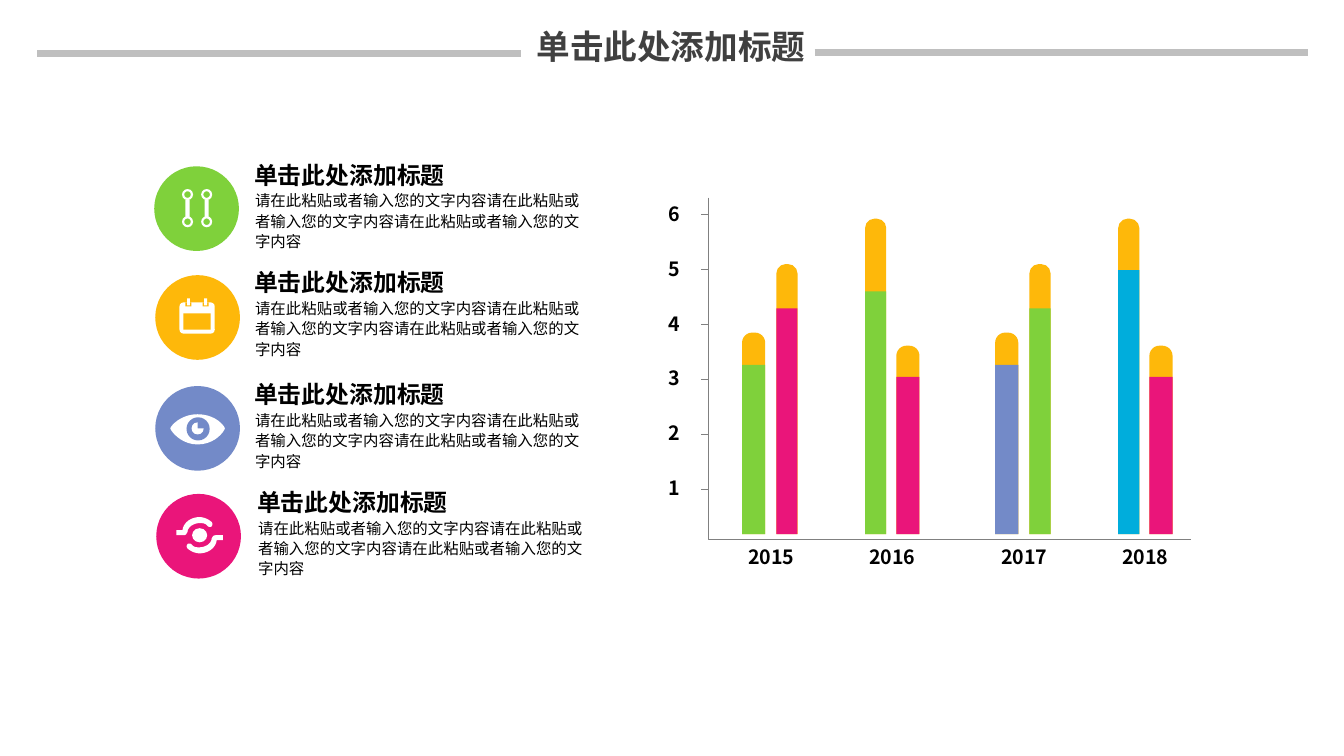
from lxml import etree
from pptx import Presentation
from pptx.dml.color import RGBColor
from pptx.enum.shapes import MSO_CONNECTOR, MSO_SHAPE
from pptx.enum.text import MSO_AUTO_SIZE, PP_ALIGN
from pptx.oxml.ns import qn
from pptx.util import Inches, Pt

STRAIGHT = MSO_CONNECTOR.STRAIGHT
OVAL, RECTANGLE, DONUT = MSO_SHAPE.OVAL, MSO_SHAPE.RECTANGLE, MSO_SHAPE.DONUT
ROUNDED, ROUND_TOP = MSO_SHAPE.ROUNDED_RECTANGLE, MSO_SHAPE.ROUND_2_SAME_RECTANGLE
PIE = MSO_SHAPE.PIE
LEFT, CENTER = PP_ALIGN.LEFT, PP_ALIGN.CENTER
FIT_TEXT = MSO_AUTO_SIZE.SHAPE_TO_FIT_TEXT

FONT = "Noto Sans CJK SC"
GREEN, ORANGE, INDIGO, PINK, CYAN = "7FD13B", "FEB80A", "738AC8", "EA157A", "00ADDC"
WHITE, BLACK, DARK, RULE_GRAY, AXIS_GRAY = "FFFFFF", "000000", "404040", "BFBFBF", "808080"

HEADING = "单击此处添加标题"
BODY = "请在此粘贴或者输入您的文字内容" * 3

AXIS_LEFT, AXIS_RIGHT, AXIS_TOP, AXIS_BOTTOM = 7.03, 11.81, 1.96, 5.35
BAR_BOTTOM = 5.3
UNIT_STEP = 0.545
# left, width, top of the orange cap, top of the lower part, colour
BARS = [
    (7.36, 0.23, 3.3, 3.62, GREEN), (7.7, 0.21, 2.62, 3.06, PINK),
    (8.58, 0.21, 2.17, 2.89, GREEN), (8.89, 0.23, 3.43, 3.74, PINK),
    (9.87, 0.23, 3.3, 3.62, INDIGO), (10.21, 0.21, 2.62, 3.06, GREEN),
    (11.09, 0.21, 2.17, 2.68, CYAN), (11.4, 0.23, 3.43, 3.74, PINK),
]
YEARS = {"2015": 7.31, "2016": 8.51, "2017": 9.82, "2018": 11.02}

# Each step is an end point, or two control points and an end point
EYE_OUTLINE = [
    (1.96, 4.11), (1.79, 4.11, 1.69, 4.23, 1.69, 4.25),
    (1.69, 4.27, 1.79, 4.41, 1.96, 4.41), (2.14, 4.41, 2.23, 4.27, 2.23, 4.25),
    (2.23, 4.23, 2.14, 4.11, 1.96, 4.11),
]
ORBIT_CENTER = (1.98, 5.31)
ORBIT_ARM = [
    (1.86, 5.28), (1.86, 5.23, 1.92, 5.19, 1.98, 5.19),
    (2.01, 5.19, 2.04, 5.19, 2.06, 5.22), (2.07, 5.23, 2.1, 5.23, 2.1, 5.22),
    (2.11, 5.21, 2.11, 5.19, 2.1, 5.18), (2.07, 5.15, 2.02, 5.13, 1.98, 5.13),
    (1.9, 5.13, 1.82, 5.18, 1.81, 5.26), (1.75, 5.26), (1.75, 5.31),
    (1.82, 5.31), (1.85, 5.31, 1.85, 5.29, 1.86, 5.28),
]


def rgb(color):
    return RGBColor.from_string(color)


def paint(shape, color):
    shape.shadow.inherit = False
    shape.fill.solid()
    shape.fill.fore_color.rgb = rgb(color)
    shape.line.fill.background()


def add_preset(slide, kind, left, top, width, height, color, adjustment=None):
    shape = slide.shapes.add_shape(
        kind, Inches(left), Inches(top), Inches(width), Inches(height))
    if adjustment is not None:
        shape.adjustments[0] = adjustment
    paint(shape, color)


def add_line(slide, x1, y1, x2, y2, color, weight):
    line = slide.shapes.add_connector(
        STRAIGHT, Inches(x1), Inches(y1), Inches(x2), Inches(y2))
    line.line.color.rgb = rgb(color)
    line.line.width = Pt(weight)
    etree.SubElement(line._element.spPr, qn("a:effectLst"))


def add_text(slide, text, left, top, width, height, size, color=BLACK, bold=True,
             align=LEFT, wrap=False, margins=(0.1, 0.05), spacing=None):
    box = slide.shapes.add_textbox(
        Inches(left), Inches(top), Inches(width), Inches(height))
    frame = box.text_frame
    frame.word_wrap = wrap
    frame.auto_size = FIT_TEXT
    frame.margin_left = frame.margin_right = Inches(margins[0])
    frame.margin_top = frame.margin_bottom = Inches(margins[1])
    paragraph = frame.paragraphs[0]
    paragraph.text = text
    paragraph.alignment = align
    if spacing:
        paragraph.line_spacing = spacing
    font = paragraph.font
    font.size, font.bold, font.name = Pt(size), bold, FONT
    font.color.rgb = rgb(color)
    defaults = paragraph._p.pPr.find(qn("a:defRPr"))
    etree.SubElement(defaults, qn("a:ea"), typeface=FONT)


def flatten(steps, pieces=10):
    """Turn lines and cubic curves into a list of points."""
    points = [steps[0]]
    for step in steps[1:]:
        if len(step) == 2:
            points.append(step)
            continue
        controls = [points[-1], step[:2], step[2:4], step[4:]]
        for piece in range(1, pieces + 1):
            t = piece / pieces
            weights = ((1 - t) ** 3, 3 * t * (1 - t) ** 2, 3 * t * t * (1 - t), t ** 3)
            points.append(tuple(
                sum(w * c[axis] for w, c in zip(weights, controls)) for axis in (0, 1)))
    return points


def add_outline(slide, points, close=True):
    corners = [(Inches(x), Inches(y)) for x, y in points]
    builder = slide.shapes.build_freeform(*corners[0])
    builder.add_line_segments(corners[1:], close=close)
    return builder.convert_to_shape()


def add_links_icon(slide):
    for x in (1.86, 2.05):
        add_preset(slide, RECTANGLE, x - 0.02, 1.98, 0.04, 0.18, WHITE)
        for y in (1.93, 2.2):
            add_preset(slide, DONUT, x - 0.055, y - 0.055, 0.11, 0.11, WHITE, 0.2)


def add_calendar_icon(slide):
    add_preset(slide, ROUNDED, 1.78, 3, 0.35, 0.31, WHITE, 0.13)
    add_preset(slide, RECTANGLE, 1.82, 3.11, 0.27, 0.16, ORANGE)
    for x in (1.84, 2.01):
        add_preset(slide, RECTANGLE, x, 3, 0.06, 0.04, ORANGE)
        add_preset(slide, RECTANGLE, x + 0.015, 2.96, 0.03, 0.07, WHITE)


def add_eye_icon(slide):
    paint(add_outline(slide, flatten(EYE_OUTLINE)), WHITE)
    add_preset(slide, OVAL, 1.85, 4.14, 0.23, 0.23, INDIGO)
    add_preset(slide, PIE, 1.9, 4.19, 0.12, 0.12, WHITE)


def add_orbit_icon(slide):
    center_x, center_y = ORBIT_CENTER
    arm = flatten(ORBIT_ARM)
    opposite_arm = [(2 * center_x - x, 2 * center_y - y) for x, y in arm]
    for points in (arm, opposite_arm):
        paint(add_outline(slide, points), WHITE)
    add_preset(slide, OVAL, center_x - 0.075, center_y - 0.07, 0.15, 0.14, WHITE)


def add_item(slide, left, top, circle_left, circle_top, color, add_icon):
    add_preset(slide, OVAL, circle_left, circle_top, 0.84, 0.84, color)
    add_icon(slide)
    add_text(slide, HEADING, left, top, 2.14, 0.4, 17, margins=(0.12, 0.06))
    add_text(slide, BODY, left + 0.01, top + 0.29, 3.52, 0.72, 11, bold=False,
             wrap=True, margins=(0.12, 0.06), spacing=1.1)


def add_bar_graph(slide):
    for left, width, cap_top, top, color in BARS:
        add_preset(slide, ROUND_TOP, left, cap_top, width, BAR_BOTTOM - cap_top,
                   ORANGE, 0.44)
        add_preset(slide, RECTANGLE, left, top, width, BAR_BOTTOM - top, color)
    for value in range(1, 7):
        y = 4.855 - (value - 1) * UNIT_STEP
        add_line(slide, AXIS_LEFT, y, AXIS_LEFT - 0.08, y, AXIS_GRAY, 0.43)
        add_text(slide, str(value), 6.53, y - 0.18, 0.32, 0.35, 14, align=CENTER)
    axes = add_outline(slide, [(AXIS_LEFT, AXIS_TOP), (AXIS_LEFT, AXIS_BOTTOM),
                               (AXIS_RIGHT, AXIS_BOTTOM)], close=False)
    axes.shadow.inherit = False
    axes.fill.background()
    axes.line.color.rgb = rgb(AXIS_GRAY)
    axes.line.width = Pt(0.43)
    for year, left in YEARS.items():
        add_text(slide, year, left, 5.36, 0.68, 0.35, 14, align=CENTER)


def main():
    deck = Presentation()
    deck.slide_width, deck.slide_height = Inches(13.33), Inches(7.5)
    slide = deck.slides.add_slide(deck.slide_layouts[6])
    add_text(slide, HEADING, 5.22, 0.21, 2.87, 0.53, 24, DARK, align=CENTER, wrap=True)
    add_line(slide, 8.08, 0.52, 12.97, 0.52, RULE_GRAY, 4.5)
    add_line(slide, 0.37, 0.53, 5.17, 0.53, RULE_GRAY, 4.5)
    add_item(slide, 2.4, 1.53, 1.53, 1.65, GREEN, add_links_icon)
    add_item(slide, 2.4, 2.6, 1.54, 2.73, ORANGE, add_calendar_icon)
    add_item(slide, 2.4, 3.71, 1.54, 3.83, INDIGO, add_eye_icon)
    add_item(slide, 2.43, 4.78, 1.55, 4.9, PINK, add_orbit_icon)
    add_bar_graph(slide)
    deck.save("out.pptx")


if __name__ == "__main__":
    main()
